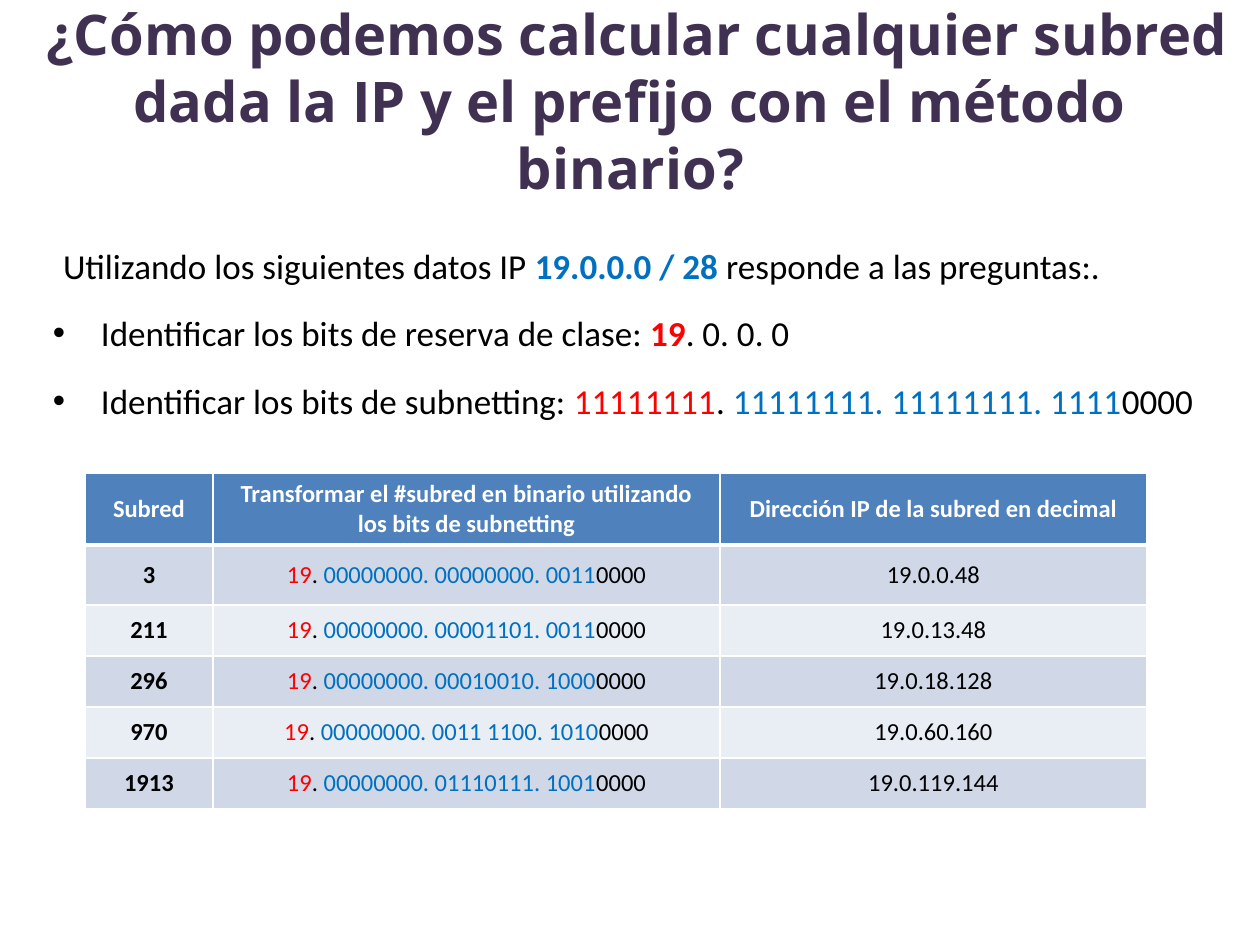
from dataclasses import dataclass

from lxml.etree import SubElement
from pptx import Presentation
from pptx.dml.color import RGBColor
from pptx.enum.text import MSO_ANCHOR as Anchor, PP_ALIGN as Align
from pptx.oxml.ns import qn
from pptx.util import Emu, Pt

PIXEL = 914400 // 126
BLACK = RGBColor(0, 0, 0)
WHITE = RGBColor(255, 255, 255)
RED = RGBColor(255, 0, 0)
BLUE = RGBColor(0x00, 0x70, 0xC0)
PURPLE = RGBColor(0x40, 0x31, 0x52)
HEADER_FILL = RGBColor(0x4F, 0x81, 0xBD)
BAND_FILLS = (RGBColor(0xD0, 0xD8, 0xE8), RGBColor(0xE9, 0xED, 0xF4))
BODY_FONT = "Calibri"
TITLE_FONT = "Open Sans"


@dataclass(frozen=True)
class Span:
    text: str
    color: RGBColor = BLACK
    bold: bool = False


@dataclass(frozen=True)
class Subnet:
    number: str
    bits: str
    address: str


QUESTION = [
    Span("Utilizando los siguientes datos IP "),
    Span("19.0.0.0 / 28 ", BLUE, True),
    Span("responde a las preguntas:."),
]
STEPS = [
    [
        Span("Identificar los bits de reserva de clase: "),
        Span("19", RED, True),
        Span(". 0. 0. 0 "),
    ],
    [
        Span("Identificar los bits de subnetting: "),
        Span("11111111", RED),
        Span(". "),
        Span("11111111. 11111111. 1111", BLUE),
        Span("0000"),
    ],
]
HEADERS = [
    "Subred",
    "Transformar el #subred en binario utilizando los bits de subnetting",
    "Dirección IP de la subred en decimal",
]
SUBNETS = [
    Subnet("3", "00000000. 00000000. 0011", "19.0.0.48"),
    Subnet("211", "00000000. 00001101. 0011", "19.0.13.48"),
    Subnet("296", "00000000. 00010010. 1000", "19.0.18.128"),
    Subnet("970", "00000000. 0011 1100. 1010", "19.0.60.160"),
    Subnet("1913", "00000000. 01110111. 1001", "19.0.119.144"),
]
COLUMN_WIDTHS = [128, 507, 427]
ROW_HEIGHTS = [72, 60] + [51] * 4


def px(count: int) -> Emu:
    return Emu(count * PIXEL)


def write(para, spans: list[Span], *, size: int, font: str = BODY_FONT,
          align: Align = Align.CENTER, before: float = 0,
          indent: int = 0, hanging: int = 0) -> None:
    para.alignment = align
    para.space_before = Pt(before)
    for span in spans:
        run = para.add_run()
        run.text = span.text
        run.font.name = font
        run.font.size = Pt(size)
        run.font.bold = span.bold
        run.font.color.rgb = span.color
    if indent:
        properties = para._p.get_or_add_pPr()
        properties.set("marL", str(px(indent)))
        properties.set("indent", str(-px(hanging)))
        if hanging:
            SubElement(properties, qn("a:buFont"), typeface="Arial")
            SubElement(properties, qn("a:buChar"), char="•")


def add_box(page, left: int, top: int, width: int, height: int):
    frame = page.shapes.add_textbox(px(left), px(top), px(width), px(height)).text_frame
    frame.word_wrap = True
    return frame


def add_title(page) -> None:
    frame = add_box(page, 13, 21, 1235, 158)
    frame.vertical_anchor = Anchor.MIDDLE
    title = (" ¿Cómo podemos calcular cualquier subred dada la IP "
             "y el prefijo con el método binario?")
    write(frame.paragraphs[0], [Span(title, PURPLE, True)], size=32, font=TITLE_FONT)


def add_steps(page) -> None:
    frame = add_box(page, 52, 244, 1155, 180)
    frame.margin_left = frame.margin_right = frame.margin_top = frame.margin_bottom = 0
    write(frame.paragraphs[0], QUESTION, size=20, align=Align.JUSTIFY, indent=11)
    for step in STEPS:
        write(frame.add_paragraph(), step, size=20, align=Align.JUSTIFY,
              before=14.8, indent=49, hanging=48)


def set_borders(cell, bottom: int, top: int) -> None:
    properties = cell._tc.get_or_add_tcPr()
    widths = {"a:lnL": 1, "a:lnR": 1, "a:lnT": top, "a:lnB": bottom}
    for position, (tag, points) in enumerate(widths.items()):
        line = SubElement(properties, qn(tag), w=str(Pt(points)))
        fill = SubElement(line, qn("a:solidFill"))
        SubElement(fill, qn("a:srgbClr"), val=str(WHITE))
        properties.insert(position, line)


def table_rows() -> list[list[list[Span]]]:
    rows = [[[Span(header, WHITE, True)] for header in HEADERS]]
    for subnet in SUBNETS:
        binary = [Span("19", RED), Span(". "), Span(subnet.bits, BLUE), Span("0000")]
        rows.append([[Span(subnet.number, bold=True)], binary, [Span(subnet.address)]])
    return rows


def add_subnet_table(page) -> None:
    rows = table_rows()
    table = page.shapes.add_table(
        len(rows), len(HEADERS), px(85), px(473),
        px(sum(COLUMN_WIDTHS)), px(sum(ROW_HEIGHTS))).table
    for column, width in zip(table.columns, COLUMN_WIDTHS):
        column.width = px(width)
    for index, (row, height) in enumerate(zip(rows, ROW_HEIGHTS)):
        table.rows[index].height = px(height)
        for column, spans in enumerate(row):
            cell = table.cell(index, column)
            cell.vertical_anchor = Anchor.MIDDLE
            cell.fill.solid()
            cell.fill.fore_color.rgb = BAND_FILLS[(index - 1) % 2] if index else HEADER_FILL
            set_borders(cell, bottom=1 if index else 3, top=3 if index == 1 else 1)
            write(cell.text_frame.paragraphs[0], spans, size=14)


def main() -> None:
    deck = Presentation()
    deck.slide_width, deck.slide_height = px(1260), px(945)
    page = deck.slides.add_slide(deck.slide_layouts[6])
    add_steps(page)
    add_title(page)
    add_subnet_table(page)
    deck.save("out.pptx")


main()
